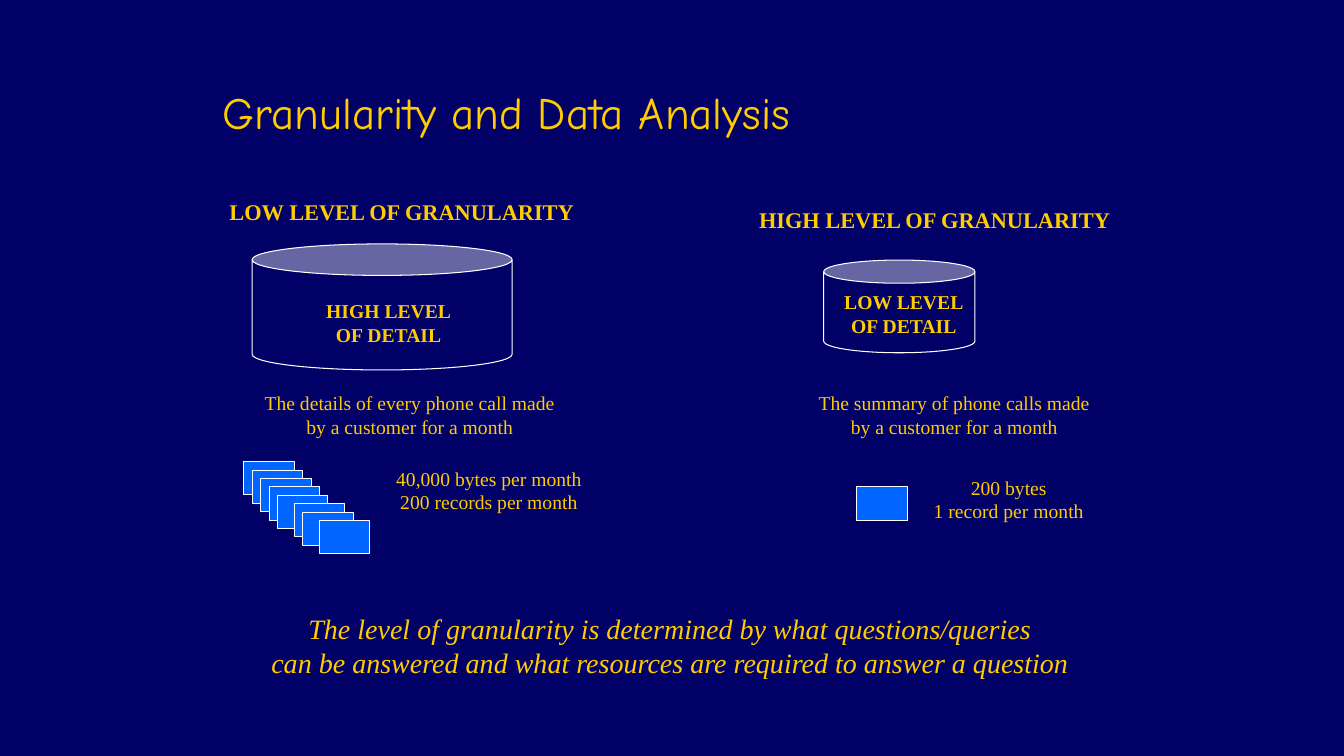
from pptx import Presentation
from pptx.dml.color import RGBColor
from pptx.enum.shapes import MSO_SHAPE
from pptx.enum.text import MSO_ANCHOR, MSO_AUTO_SIZE, PP_ALIGN
from pptx.util import Inches, Pt

NAVY = RGBColor(0x00, 0x00, 0x66)
GOLD = RGBColor(0xFF, 0xCC, 0x00)
BLUE = RGBColor(0x00, 0x66, 0xFF)
WHITE = RGBColor(0xFF, 0xFF, 0xFF)

TITLE = {"name": "Comic Neue", "size": Pt(32), "bold": False}
HEADING = {"name": "Times New Roman", "size": Pt(16), "bold": True}
LABEL = {"name": "Times New Roman", "size": Pt(14), "bold": True}
BODY = {"name": "Times New Roman", "size": Pt(14)}
CONCLUSION = {"name": "Times New Roman", "size": Pt(20), "italic": True}

RECORD_STEP = 1 / 12
RECORD_COLUMNS = (0, 1, 2, 3, 4, 6, 7, 9)


class SlideBuilder:
    """Holds the slide and draws its elements in one style."""

    def __init__(self, presentation):
        self.slide = presentation.slides.add_slide(presentation.slide_layouts[5])
        self.slide.background.fill.solid()
        self.slide.background.fill.fore_color.rgb = NAVY

    def fill_text(self, frame, lines, formats, alignment):
        for index, line in enumerate(lines):
            paragraph = frame.paragraphs[0] if index == 0 else frame.add_paragraph()
            paragraph.text = line
            paragraph.alignment = alignment
            for name, value in formats.items():
                setattr(paragraph.font, name, value)
            paragraph.font.color.rgb = GOLD

    def title(self, text, left, top, width, height):
        shape = self.slide.shapes.title
        shape.left, shape.top = Inches(left), Inches(top)
        shape.width, shape.height = Inches(width), Inches(height)
        frame = shape.text_frame
        frame.vertical_anchor = MSO_ANCHOR.BOTTOM
        frame.auto_size = MSO_AUTO_SIZE.NONE
        self.fill_text(frame, [text], TITLE, PP_ALIGN.LEFT)

    def text(self, lines, formats, left, top, width, height):
        box = self.slide.shapes.add_textbox(
            Inches(left), Inches(top), Inches(width), Inches(height))
        frame = box.text_frame
        frame.word_wrap = False
        frame.auto_size = MSO_AUTO_SIZE.SHAPE_TO_FIT_TEXT
        self.fill_text(frame, lines, formats, PP_ALIGN.CENTER)

    def shape(self, kind, fill, left, top, width, height):
        shape = self.slide.shapes.add_shape(
            kind, Inches(left), Inches(top), Inches(width), Inches(height))
        shape.shadow.inherit = False
        shape.fill.solid()
        shape.fill.fore_color.rgb = fill
        shape.line.color.rgb = WHITE
        shape.line.width = Pt(0.75)

    def database(self, left, top, width, height):
        self.shape(MSO_SHAPE.CAN, NAVY, left, top, width, height)

    def record(self, left, top):
        self.shape(MSO_SHAPE.RECTANGLE, BLUE, left, top, 0.5, 0.33)


def main():
    presentation = Presentation()
    presentation.slide_width = Inches(13.33)
    presentation.slide_height = Inches(7.5)
    builder = SlideBuilder(presentation)
    builder.title("Granularity and Data Analysis", 2.11, 0.25, 8.5, 1.17)

    # Low granularity: detailed call records
    builder.text(["LOW LEVEL OF GRANULARITY"], HEADING, 2.16, 1.92, 3.65, 0.37)
    builder.database(2.5, 2.42, 2.58, 1.25)
    builder.text(["HIGH LEVEL", "OF DETAIL"], LABEL, 3.09, 2.92, 1.53, 0.57)
    builder.text(["The details of every phone call made", "by a customer for a month"],
                 BODY, 2.5, 3.83, 3.13, 0.57)
    for row, column in enumerate(RECORD_COLUMNS):
        builder.record(2.42 + column * RECORD_STEP, 4.58 + row * RECORD_STEP)
    builder.text(["40,000 bytes per month", "200 records per month"],
                 BODY, 3.83, 4.58, 2.04, 0.57)

    # High granularity: one summary record
    builder.text(["HIGH LEVEL OF GRANULARITY"], HEADING, 7.41, 2, 3.72, 0.37)
    builder.database(8.17, 2.58, 1.5, 0.92)
    builder.text(["LOW LEVEL", "OF DETAIL"], LABEL, 8.25, 2.83, 1.43, 0.57)
    builder.text(["The summary of phone calls made", "by a customer for a month"],
                 BODY, 8, 3.83, 2.93, 0.57)
    builder.record(8.5, 4.83)
    builder.text(["200 bytes", "1 record per month"], BODY, 9.16, 4.67, 1.69, 0.57)

    # Conclusion
    builder.text(["The level of granularity is determined by what questions/queries",
                  "can be answered and what resources are required to answer a question"],
                 CONCLUSION, 2.55, 6.02, 8.19, 0.77)

    presentation.save("out.pptx")


if __name__ == "__main__":
    main()
